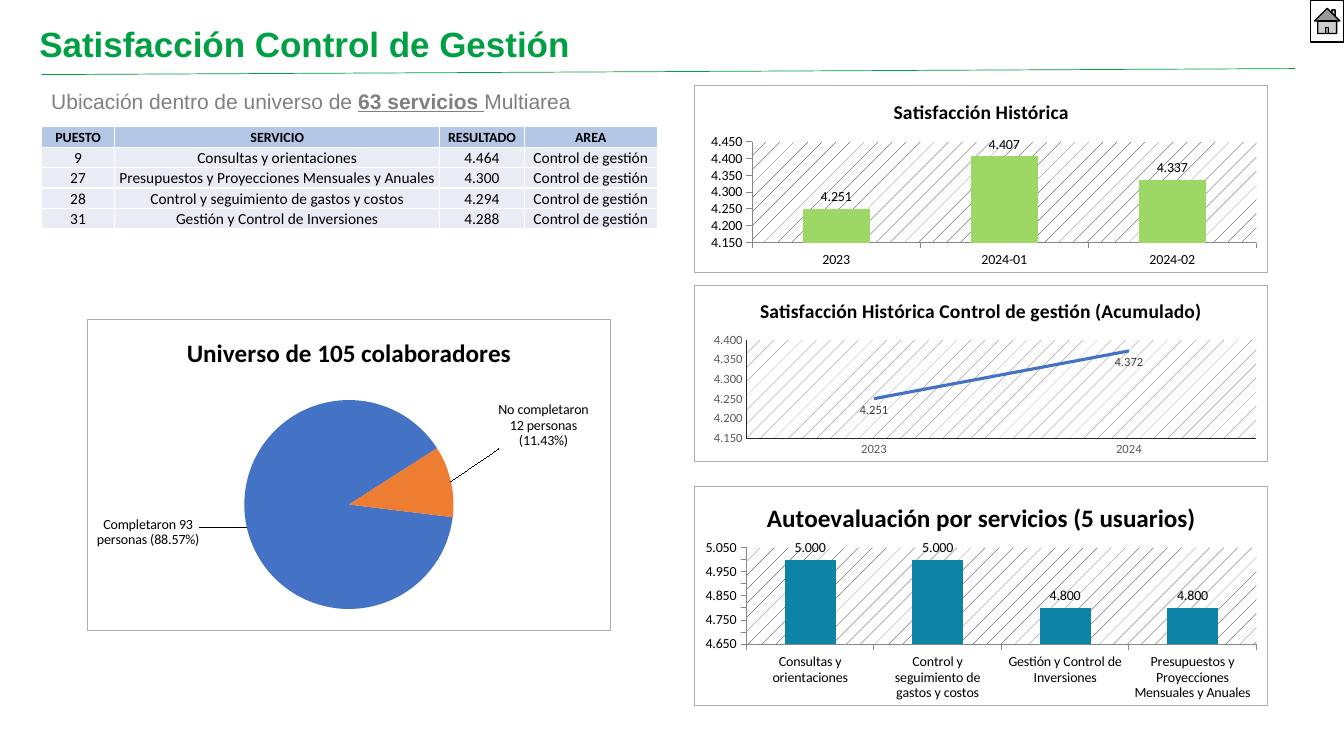
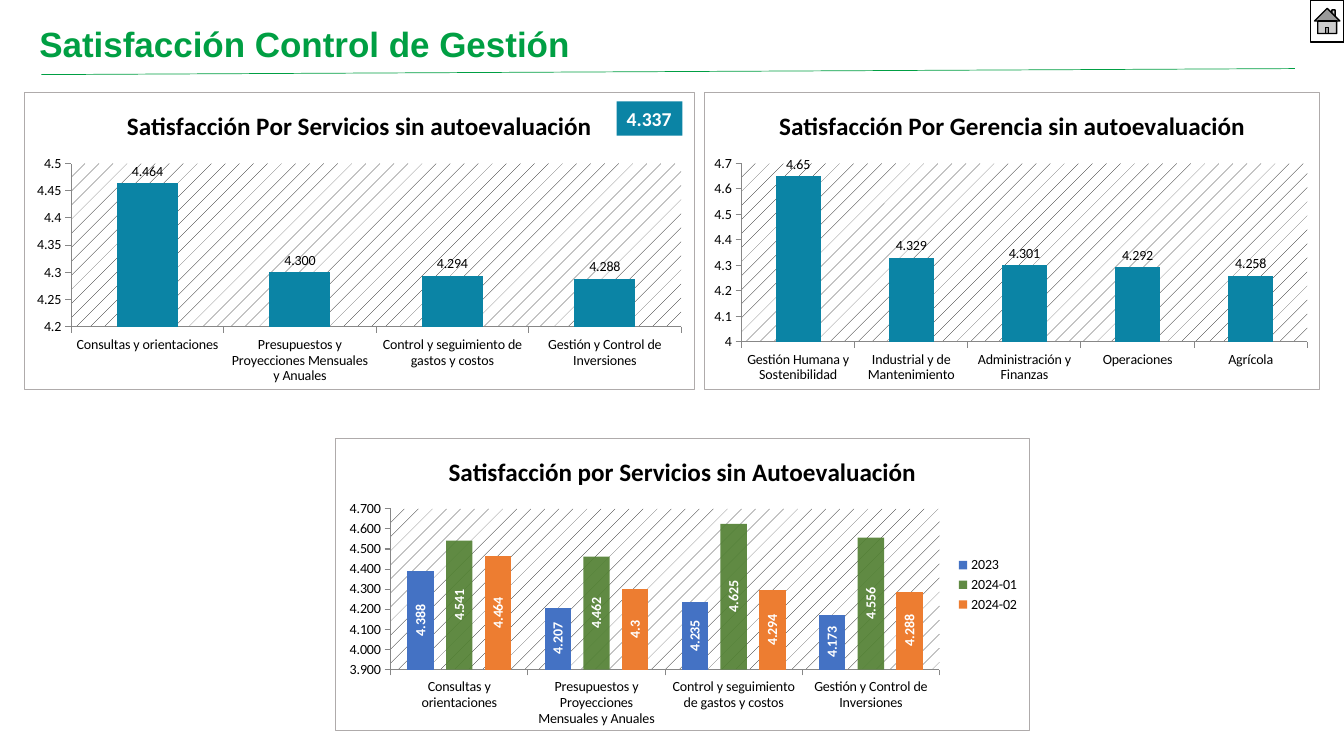
from dataclasses import dataclass

from pptx import Presentation
from pptx import util as u
from pptx.chart.data import CategoryChartData
from pptx.dml.color import RGBColor
from pptx.enum import chart as ch, shapes, text
from pptx.oxml import ns, parse_xml

Pt = u.Pt
Box = tuple[float, float, float, float]

# Shared look
GREEN, TEAL, BLUE, ORANGE = "009F43", "0B84A5", "4472C4", "ED7D31"
BLACK, WHITE, GREY, EDGE = "000000", "FFFFFF", "808080", "AFABAB"
HEAD, BODY = "Arial", "Calibri"
THREE = "0.000"
TITLE = "Satisfacción Control de Gestión"

ASK = "Consultas y orientaciones"
PLAN = "Presupuestos y Proyecciones Mensuales y Anuales"
COST = "Control y seguimiento de gastos y costos"
FUND = "Gestión y Control de Inversiones"


@dataclass
class Run:
    words: str
    bold: bool = False
    line: bool = False


@dataclass
class Row:
    name: str
    vals: list[float]
    color: str
    form: str = THREE
    alpha: int = 100


@dataclass
class Graph:
    title: str
    box: Box
    plot: Box  # inner plot area, as shares of the chart
    cats: list[str]
    rows: list[Row]
    low: float = 0
    high: float = 0
    step: float = 0.05
    form: str = THREE
    size: int = 18
    kind: ch.XL_CHART_TYPE = ch.XL_CHART_TYPE.COLUMN_CLUSTERED
    gap: int = 150
    over: int = 0


@dataclass
class Note:
    words: str
    color: str
    right: float
    down: float


# Helpers
def rgb(color: str) -> RGBColor:
    return RGBColor.from_string(color)


def place(box: Box) -> list[u.Length]:
    return [Pt(n) for n in box]


def node(body: str):
    """Parse a chart fragment, declaring its namespaces on the first tag."""
    tag, rest = body.split(">", 1)
    return parse_xml(f"{tag} {ns.nsdecls('c', 'a')}>{rest}")


def style(font, size: float, color: str, bold: bool = False, face: str = BODY) -> None:
    font.size, font.bold, font.name = Pt(size), bold, face
    font.color.rgb = rgb(color)


def stroke(line, color: str, width: float) -> None:
    line.color.rgb = rgb(color)
    line.width = Pt(width)


def fill(item, color: str) -> None:
    item.fill.solid()
    item.fill.fore_color.rgb = rgb(color)


def write(slide, box: Box, runs: list[Run], size: float, color: str) -> None:
    frame = slide.shapes.add_textbox(*place(box)).text_frame
    frame.word_wrap = True
    frame.vertical_anchor = text.MSO_ANCHOR.MIDDLE
    para = frame.paragraphs[0]
    para.line_spacing = 0.9
    for part in runs:
        run = para.add_run()
        run.text = part.words
        style(run.font, size, color, part.bold, HEAD)
        run.font.underline = part.line


def shape(slide, kind: shapes.MSO_SHAPE, box: Box, color: str):
    item = slide.shapes.add_shape(kind, *place(box))
    item.shadow.inherit = False
    fill(item, color)
    return item


def start(deck):
    """Add a blank slide with the heading, its rule and the home button."""
    slide = deck.slides.add_slide(deck.slide_layouts[6])
    rule = slide.shapes.add_connector(
        shapes.MSO_CONNECTOR.STRAIGHT, Pt(29.5), Pt(53.3), Pt(925), Pt(49))
    stroke(rule.line, GREEN, 0.5)
    rule._element.spPr.append(node("<a:effectLst></a:effectLst>"))
    write(slide, (21, 17, 834, 32), [Run(TITLE, True)], 25, GREEN)
    home = shape(slide, shapes.MSO_SHAPE.ACTION_BUTTON_HOME, (936, 0, 24, 30), WHITE)
    stroke(home.line, BLACK, 1)
    return slide


# Charts
def layout(box: Box, inner: bool = True):
    mode = "".join(f'<c:{k}Mode val="edge"/>' for k in "xy") if inner else ""
    goal = '<c:layoutTarget val="inner"/>' if inner else ""
    spots = "".join(f'<c:{k} val="{n}"/>' for k, n in zip("xywh", box))
    return node(f"<c:layout><c:manualLayout>{goal}{mode}{spots}"
                "</c:manualLayout></c:layout>")


def base(slide, graph: Graph):
    """Add a framed chart with title, font and plot area in place."""
    data = CategoryChartData(number_format=THREE)
    data.categories = graph.cats
    for row in graph.rows:
        data.add_series(row.name, row.vals)
    chart = slide.shapes.add_chart(graph.kind, *place(graph.box), data).chart
    style(chart.font, 10, BLACK)
    chart.has_legend = len(graph.rows) > 1
    chart.has_title = True
    head = chart.chart_title.text_frame
    head.text = graph.title
    style(head.paragraphs[0].runs[0].font, graph.size, BLACK, True)
    chart.chart_title.include_in_layout = False
    root = chart._chartSpace
    root.find(ns.qn("c:txPr")).addprevious(node(
        f'<c:spPr><a:solidFill><a:srgbClr val="{WHITE}"/></a:solidFill>'
        f'<a:ln w="9525"><a:solidFill><a:srgbClr val="{EDGE}"/></a:solidFill></a:ln></c:spPr>'))
    area = root.chart.plotArea
    for old in area.findall(ns.qn("c:layout")):
        area.remove(old)
    area.insert(0, layout(graph.plot))
    return chart


def hatch(chart, color: str) -> None:
    chart._chartSpace.chart.plotArea.append(node(
        f'<c:spPr><a:pattFill prst="pct5"><a:fgClr><a:srgbClr val="{color}"/></a:fgClr>'
        f'<a:bgClr><a:srgbClr val="{WHITE}"/></a:bgClr></a:pattFill></c:spPr>'))


def axes(chart, graph: Graph, size: int, color: str, line: str, tick) -> None:
    for axis in (chart.category_axis, chart.value_axis):
        axis.has_major_gridlines = False
        axis.major_tick_mark = tick
        axis.minor_tick_mark = ch.XL_TICK_MARK.NONE
        style(axis.tick_labels.font, size, color)
        stroke(axis.format.line, line, 0.75)
    scale = chart.value_axis
    scale.minimum_scale, scale.maximum_scale = graph.low, graph.high
    scale.major_unit = graph.step
    scale.tick_labels.number_format = graph.form
    scale.tick_labels.number_format_is_linked = False


def label(series, form: str, size: int, color: str, spot, bold: bool = False):
    tags = series.data_labels
    tags.show_value = True
    tags.number_format, tags.number_format_is_linked = form, False
    tags.position = spot
    style(tags.font, size, color, bold)
    return tags


def bars(slide, graph: Graph) -> None:
    chart = base(slide, graph)
    axes(chart, graph, 10, BLACK, "878787", ch.XL_TICK_MARK.OUTSIDE)
    hatch(chart, BLACK)
    plot = chart.plots[0]
    plot.vary_by_categories = False
    plot.gap_width, plot.overlap = graph.gap, graph.over
    for row, series in zip(graph.rows, plot.series):
        fill(series.format, row.color)
        if row.alpha < 100:
            for tint in series._element.spPr.iter(ns.qn("a:srgbClr")):
                tint.append(node(f'<a:alpha val="{row.alpha * 1000}"></a:alpha>'))
        if chart.has_legend:
            tags = label(series, row.form, 10, WHITE, ch.XL_LABEL_POSITION.CENTER, True)
            for body in tags._element.iter(ns.qn("a:bodyPr")):
                body.set("rot", "-5400000")
                body.set("vert", "horz")
        else:
            label(series, row.form, 10, BLACK, ch.XL_LABEL_POSITION.OUTSIDE_END)
    if chart.has_legend:
        chart.legend.position = ch.XL_LEGEND_POSITION.RIGHT
        chart.legend.include_in_layout = False


def trend(slide, graph: Graph) -> None:
    chart = base(slide, graph)
    axes(chart, graph, 9, "595959", "262626", ch.XL_TICK_MARK.NONE)
    hatch(chart, "595959")
    for row, series in zip(graph.rows, chart.plots[0].series):
        series.smooth = False
        stroke(series.format.line, row.color, 2.25)
        label(series, row.form, 9, "404040", ch.XL_LABEL_POSITION.BELOW)


def pie(slide, graph: Graph, notes: list[Note], turn: int) -> None:
    chart = base(slide, graph)
    plot = chart.plots[0]
    plot.vary_by_categories = True
    for old in plot._element.findall(ns.qn("c:firstSliceAng")):
        plot._element.remove(old)
    plot._element.append(node(f'<c:firstSliceAng val="{turn}"></c:firstSliceAng>'))
    for num, note in enumerate(notes):
        point = plot.series[0].points[num]
        fill(point.format, note.color)
        tag = point.data_label
        tag.text_frame.text = note.words
        style(tag.text_frame.paragraphs[0].runs[0].font, 10, BLACK)
        tag.position = ch.XL_LABEL_POSITION.OUTSIDE_END
        part = plot.series[0]._element.findall(".//" + ns.qn("c:dLbl"))[num]
        part.insert(1, layout((note.right, note.down, 0, 0)[:2], False))
        part.append(node(
            '<c:extLst><c:ext uri="{CE6537A1-D6FC-4f65-9D91-7224C49458BB}" '
            'xmlns:c15="http://schemas.microsoft.com/office/drawing/2012/chart">'
            '<c15:layout><c:manualLayout><c:w val="0.18"/><c:h val="0.17"/>'
            '</c:manualLayout></c15:layout></c:ext></c:extLst>'))


# Ranking table
def table(slide, box: Box, wide: list[float], lines: list[tuple[str, ...]]) -> None:
    grid = slide.shapes.add_table(len(lines), len(wide), *place(box)).table
    grid.first_row = grid.horz_banding = False
    for col, width in zip(grid.columns, wide):
        col.width = Pt(width)
    for r, line in enumerate(lines):
        grid.rows[r].height = Pt(box[3] / len(lines))
        for c, words in enumerate(line):
            cell = grid.cell(r, c)
            cell.margin_left = cell.margin_right = cell.margin_top = Pt(0.7)
            cell.margin_bottom = 0
            cell.vertical_anchor = text.MSO_ANCHOR.MIDDLE
            fill(cell, "E9EBF5" if r else "B4C7E7")
            para = cell.text_frame.paragraphs[0]
            para.text = words
            para.alignment = text.PP_ALIGN.CENTER
            style(para.runs[0].font, 11 if r else 10, BLACK, not r)


def first(deck) -> None:
    slide = start(deck)
    write(slide, (29.5, 62.5, 394, 21), [
        Run("Ubicación dentro de universo de "), Run("63 servicios ", True, True),
        Run("Multiarea")], 15, GREY)
    ranks = [("9", ASK, "4.464"), ("27", PLAN, "4.300"),
             ("28", COST, "4.294"), ("31", FUND, "4.288")]
    table(slide, (29.5, 90.5, 440, 73), [52.5, 232, 60.5, 95],
          [("PUESTO", "SERVICIO", "RESULTADO", "AREA")]
          + [(*rank, "Control de gestión") for rank in ranks])
    notes = [Note("Completaron 93 personas (88.57%)", BLUE, -0.08, -0.04),
             Note("No completaron 12 personas (11.43%)", ORANGE, 0.08, -0.1)]
    pie(slide, Graph("Universo de 105 colaboradores", (62, 227.5, 374.5, 223.5),
                     (0.3, 0.26, 0.4, 0.67), [n.words for n in notes],
                     [Row("Series 1", [89, 11], BLUE)],
                     kind=ch.XL_CHART_TYPE.PIE), notes, 97)
    bars(slide, Graph("Satisfacción Histórica", (496, 61, 410, 134), (0.1, 0.3, 0.88, 0.54),
                      ["2023", "2024-01", "2024-02"],
                      [Row("Series 1", [4.251, 4.407, 4.337], "9DD866")],
                      4.15, 4.45, size=14))
    trend(slide, Graph("Satisfacción Histórica Control de gestión (Acumulado)",
                       (496, 203.5, 410, 126.5), (0.09, 0.31, 0.89, 0.56), ["2023", "2024"],
                       [Row("Series 1", [4.251, 4.372], BLUE)], 4.15, 4.4, size=14,
                       kind=ch.XL_CHART_TYPE.LINE_STACKED))
    bars(slide, Graph("Autoevaluación por servicios (5 usuarios)", (496, 347, 410, 157.5),
                      (0.09, 0.28, 0.89, 0.44), [ASK, COST, FUND, PLAN],
                      [Row("Series 1", [5, 5, 4.8, 4.8], TEAL)], 4.65, 5.05))


def second(deck) -> None:
    slide = start(deck)
    cats, last = [ASK, PLAN, COST, FUND], [4.464, 4.3, 4.294, 4.288]
    bars(slide, Graph("Satisfacción Por Servicios sin autoevaluación", (17, 65.5, 479.5, 213),
                      (0.07, 0.24, 0.91, 0.55), cats, [Row("Series 1", last, TEAL)],
                      4.2, 4.5, form="General"))
    bars(slide, Graph("Satisfacción Por Gerencia sin autoevaluación", (503, 65.5, 440, 213),
                      (0.06, 0.24, 0.92, 0.6),
                      ["Gestión Humana y Sostenibilidad", "Industrial y de Mantenimiento",
                       "Administración y Finanzas", "Operaciones", "Agrícola"],
                      [Row("Series 1", [4.65, 4.329, 4.301, 4.292, 4.258], TEAL, "General")],
                      4, 4.7, 0.1, "General"))
    bars(slide, Graph("Satisfacción por Servicios sin Autoevaluación", (239, 313, 497, 209.5),
                      (0.08, 0.24, 0.79, 0.55), cats,
                      [Row("2023", [4.388, 4.207, 4.235, 4.173], BLUE),
                       Row("2024-01", [4.541, 4.462, 4.625, 4.556], "548235", "General", 93),
                       Row("2024-02", last, ORANGE, "General")],
                      3.9, 4.7, 0.1, gap=127, over=-47))
    # Overall score
    badge = shape(slide, shapes.MSO_SHAPE.RECTANGLE, (440.5, 72.5, 47, 24.5), TEAL)
    badge.line.fill.background()
    badge.text_frame.word_wrap = False
    badge.text_frame.text = "4.337"
    style(badge.text_frame.paragraphs[0].runs[0].font, 14, WHITE, True)


def main() -> None:
    deck = Presentation()
    deck.slide_width, deck.slide_height = Pt(960), Pt(540)
    first(deck)
    second(deck)
    deck.save("out.pptx")


if __name__ == "__main__":
    main()
